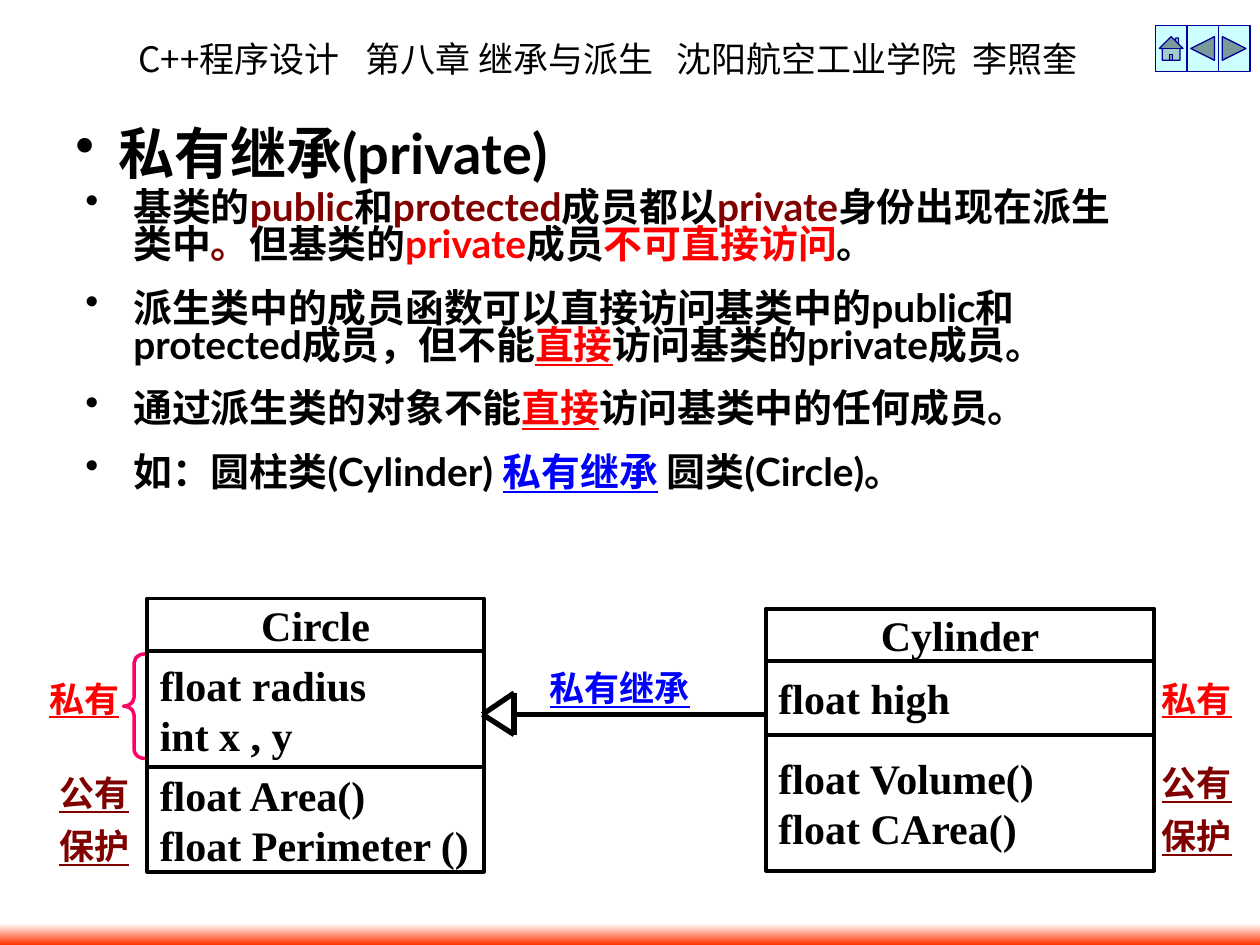
from lxml import etree
from pptx import Presentation
from pptx.dml.color import RGBColor
from pptx.enum.shapes import MSO_CONNECTOR, MSO_SHAPE
from pptx.enum.text import MSO_ANCHOR, PP_ALIGN
from pptx.oxml.ns import qn
from pptx.util import Inches, Pt

RECTANGLE = MSO_SHAPE.RECTANGLE
LEFT_BRACE = MSO_SHAPE.LEFT_BRACE
BUTTONS = [MSO_SHAPE.ACTION_BUTTON_HOME, MSO_SHAPE.ACTION_BUTTON_BACK_OR_PREVIOUS,
           MSO_SHAPE.ACTION_BUTTON_FORWARD_OR_NEXT]
STRAIGHT = MSO_CONNECTOR.STRAIGHT
MIDDLE, TOP = MSO_ANCHOR.MIDDLE, MSO_ANCHOR.TOP
LEFT, CENTER = PP_ALIGN.LEFT, PP_ALIGN.CENTER

SERIF, SANS = "Times New Roman", "Lato"
CJK, CJK_JP = "Noto Sans CJK SC", "Noto Sans CJK JP"
BLACK, RED, MAROON, BLUE = "000000", "FF0000", "800000", "0000FF"

RULES = [
    [("基类的", BLACK), ("public", MAROON), ("和", BLACK), ("protected", MAROON),
     ("成员都以", BLACK), ("private", MAROON), ("身份出现在派生类中", BLACK),
     ("。", MAROON), ("但基类的", BLACK), ("private", RED), ("成员", BLACK),
     ("不可直接访问", RED), ("。", BLACK)],
    [("派生类中的成员函数可以直接访问基类中的public和protected成员，但不能", BLACK),
     ("直接", RED, True), ("访问基类的private成员。", BLACK)],
    [("通过派生类的对象不能", BLACK), ("直接", RED, True),
     ("访问基类中的任何成员。", BLACK)],
    [("如：圆柱类(Cylinder) ", BLACK), ("私有继承", BLUE, True),
     (" 圆类(Circle)。", BLACK)],
]
LABELS = [
    (4.17, 5.17, 1.5, "私有继承", BLUE),
    (0.17, 5.25, 1, "私有", RED),
    (0.25, 6, 1, "公有", MAROON),
    (0.25, 6.42, 1, "保护", MAROON),
    (9, 5.25, 1, "私有", RED),
    (9, 5.92, 1, "公有", MAROON),
    (9, 6.34, 1, "保护", MAROON),
]


def color(value):
    """Return the colour for a hex string."""
    return RGBColor.from_string(value)


def style_span(span, size, name, value, bold=True, underline=False, asian=CJK):
    """Format one run, including its East Asian font."""
    font = span.font
    font.size, font.name, font.bold = Pt(size), name, bold
    font.underline = underline
    font.color.rgb = color(value)
    etree.SubElement(span._r.get_or_add_rPr(), qn("a:ea"), typeface=asian)


def add_box(page, left, top, width, height, anchor=TOP, wrap=True):
    """Add an empty text box and return it."""
    box = page.shapes.add_textbox(Inches(left), Inches(top), Inches(width), Inches(height))
    box.text_frame.word_wrap = wrap
    box.text_frame.vertical_anchor = anchor
    return box


def add_shape(page, kind, left, top, width, height, line=None, weight=2.25, fill=None):
    """Add a preset shape with the given outline and fill."""
    shape = page.shapes.add_shape(kind, Inches(left), Inches(top), Inches(width), Inches(height))
    shape.shadow.inherit = False
    if fill:
        shape.fill.solid()
        shape.fill.fore_color.rgb = color(fill)
    else:
        shape.fill.background()
    if line:
        shape.line.color.rgb = color(line)
        shape.line.width = Pt(weight)
    else:
        shape.line.fill.background()
    return shape


def set_bullet(para, indent):
    """Give a paragraph a round bullet with a hanging indent."""
    props = para._p.get_or_add_pPr()
    props.set("marL", str(Inches(indent)))
    props.set("indent", str(-Inches(indent)))
    bullet_color = etree.SubElement(props, qn("a:buClr"))
    etree.SubElement(bullet_color, qn("a:srgbClr"), val=BLACK)
    etree.SubElement(props, qn("a:buChar"), char="•")


def add_header(page):
    """Add the course line, its parts aligned by tab stops."""
    para = add_box(page, 1, 0.25, 8.25, 0.44).text_frame.paragraphs[0]
    tabs = etree.SubElement(para._p.get_or_add_pPr(), qn("a:tabLst"))
    for stop in (1.8, 4.27, 6.62):
        etree.SubElement(tabs, qn("a:tab"), pos=str(Inches(stop)), algn="l")
    parts = [("C++程序设计", CJK_JP), ("\t第八章 继承与派生", CJK),
             ("\t沈阳航空工业学院", CJK_JP), ("\t李照奎", CJK)]
    for text, name in parts:
        span = para.add_run()
        span.text = text
        style_span(span, 20, name, BLACK, bold=False, asian=name)


def add_footer_bar(page):
    """Add the bar that fades from white to red."""
    bar = add_shape(page, RECTANGLE, 0, 7.33, 10, 0.17)
    bar.fill.gradient()
    bar.fill.gradient_angle = 270
    for stop, value in zip(bar.fill.gradient_stops, ("FFFFFF", "FF3300")):
        stop.color.rgb = color(value)


def add_title(page):
    """Add the bulleted heading."""
    para = add_box(page, 0.5, 0.58, 8.5, 1.25, MIDDLE).text_frame.paragraphs[0]
    para.text = "私有继承(private)"
    set_bullet(para, 0.34)
    style_span(para.runs[0], 32, SANS, BLACK)


def add_rules(page):
    """Add the bulleted rules of private inheritance."""
    frame = add_box(page, 0.58, 1.47, 8.5, 2.87).text_frame
    for number, parts in enumerate(RULES):
        para = frame.add_paragraph() if number else frame.paragraphs[0]
        set_bullet(para, 0.38)
        para.line_spacing = 0.8
        para.space_before = Pt(15 if number else 0)
        for text, value, *underline in parts:
            span = para.add_run()
            span.text = text
            style_span(span, 22.2, SANS, value, underline=bool(underline))


def add_class(page, left, top, width, sections):
    """Stack the sections of a class diagram, the name first."""
    for number, (height, text) in enumerate(sections):
        shape = add_shape(page, RECTANGLE, left, top, width, height, BLACK)
        frame = shape.text_frame
        frame.word_wrap = False
        frame.vertical_anchor = MIDDLE
        frame.text = text
        for para in frame.paragraphs:
            para.alignment = LEFT if number else CENTER
            style_span(para.runs[0], 24, SERIF, BLACK)
        top += height


def add_line(page, start, end):
    """Add a straight black line."""
    points = [Inches(value) for value in (*start, *end)]
    line = page.shapes.add_connector(STRAIGHT, *points)
    line.line.color.rgb = color(BLACK)
    line.line.width = Pt(3)
    etree.SubElement(line._element.spPr, qn("a:effectLst"))


def add_label(page, left, top, width, text, value):
    """Add an underlined, centred label."""
    frame = add_box(page, left, top, width, 0.58, MIDDLE, wrap=False).text_frame
    frame.text = text
    para = frame.paragraphs[0]
    para.alignment = CENTER
    style_span(para.runs[0], 20, SERIF, value, underline=True)


def main():
    """Build the slide and save it."""
    deck = Presentation()
    deck.slide_width, deck.slide_height = Inches(10), Inches(7.5)
    page = deck.slides.add_slide(deck.slide_layouts[6])
    add_header(page)
    add_footer_bar(page)
    for number, kind in enumerate(BUTTONS):
        add_shape(page, kind, 9.17 + number * 0.25, 0.2, 0.25, 0.37, "000099", 0.75, "CCFFFF")
    add_title(page)
    add_rules(page)
    add_class(page, 1.17, 4.75, 2.67, [
        (0.42, "Circle"), (0.92, "float radius\nint x , y"),
        (0.83, "float Area()\nfloat Perimeter ()")])
    add_class(page, 6.08, 4.83, 3.08, [
        (0.42, "Cylinder"), (0.58, "float high"),
        (1.08, "float Volume()\nfloat CArea()")])
    tip, upper, lower = (3.83, 5.67), (4.08, 5.5), (4.08, 5.83)
    for start, end in [(tip, upper), (tip, lower), (upper, lower), ((4.08, 5.67), (6.08, 5.67))]:
        add_line(page, start, end)
    brace = add_shape(page, LEFT_BRACE, 0.98, 5.19, 0.17, 0.83, "FF0066", 2)
    brace.adjustments[0] = 0.42
    for label in LABELS:
        add_label(page, *label)
    deck.save("out.pptx")


if __name__ == "__main__":
    main()
